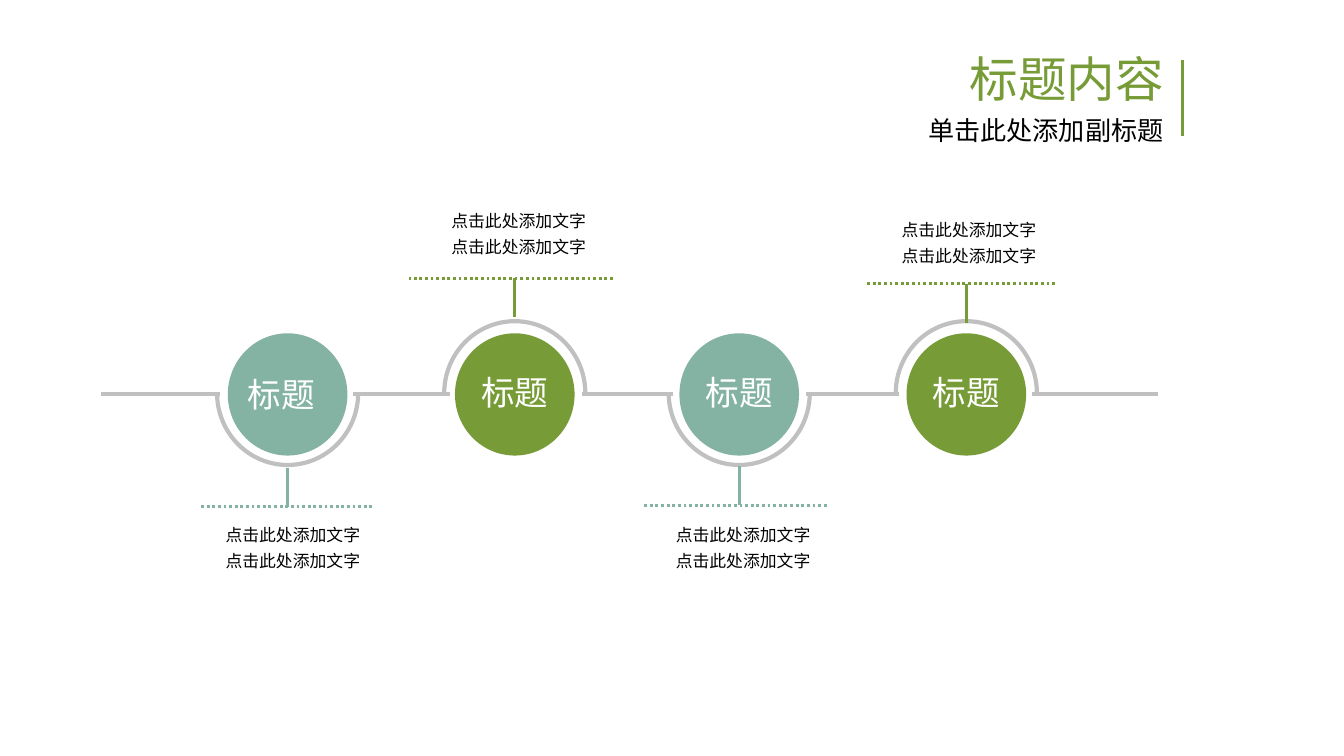
"""Build a four-step timeline slide with alternating captions."""
from dataclasses import dataclass

from lxml import etree
from pptx import Presentation
from pptx.dml.color import RGBColor
from pptx.enum.dml import MSO_LINE
from pptx.enum.shapes import MSO_CONNECTOR, MSO_SHAPE
from pptx.enum.text import MSO_ANCHOR, MSO_AUTO_SIZE, PP_ALIGN
from pptx.oxml.ns import qn
from pptx.util import Inches, Pt

STRAIGHT = MSO_CONNECTOR.STRAIGHT
DOTTED = MSO_LINE.ROUND_DOT
ARC, OVAL = MSO_SHAPE.ARC, MSO_SHAPE.OVAL
TOP, MIDDLE = MSO_ANCHOR.TOP, MSO_ANCHOR.MIDDLE
LEFT, CENTER, RIGHT = PP_ALIGN.LEFT, PP_ALIGN.CENTER, PP_ALIGN.RIGHT
NO_AUTOFIT = MSO_AUTO_SIZE.NONE


@dataclass(frozen=True)
class Theme:
    """Colours, font, type sizes and line widths of the slide."""
    green: str = "779B37"
    teal: str = "84B3A3"
    rail: str = "C0C0C0"
    black: str = "000000"
    white: str = "FFFFFF"
    font: str = "Noto Sans CJK SC"
    title: float = 26
    subtitle: float = 14
    label: float = 18
    caption: float = 9
    thin: float = 1.5
    thick: float = 2.25


@dataclass(frozen=True)
class Step:
    """One stop of the timeline with its caption above or below."""
    center: float
    above: bool
    rule: tuple
    rule_y: float
    caption: tuple
    label: tuple


THEME = Theme()
AXIS_Y = 2.93
STEM = 0.29
CIRCLE_TOP = 2.48
CIRCLE = (0.89, 0.91)
RING_TOP = 2.39
RING = (1.05, 1.07)
CAPTION_SIZE = (1.78, 0.48)
CAPTION = "点击此处添加文字\n点击此处添加文字"
STEPS = (
    Step(2.14, False, (1.49, 2.77), 3.77, (1.58, 3.81), (1.71, 2.74, 0.77, 0.38)),
    Step(3.83, True, (3.04, 4.56), 2.07, (3.26, 1.47), (3.38, 2.73, 0.9, 0.38)),
    Step(5.5, False, (4.78, 6.15), 3.76, (4.93, 3.81), (5.05, 2.73, 0.9, 0.38)),
    Step(7.19, True, (6.45, 7.85), 2.11, (6.61, 1.54), (6.74, 2.73, 0.9, 0.38)),
)
RAIL = ((0.75, 1.64), (2.63, 3.35), (4.33, 5.01), (6, 6.69), (7.68, 8.62))


def place(shape, box):
    """Move and size a shape to a box in inches."""
    shape.left, shape.top, shape.width, shape.height = map(Inches, box)


def write(shape, text, *, size, color, align=LEFT, anchor=TOP,
          spacing=1.0, inset=(0.1, 0.05)):
    """Fill a shape with formatted text, one paragraph per line."""
    frame = shape.text_frame
    frame.text = text
    frame.word_wrap = True
    frame.auto_size = NO_AUTOFIT
    frame.vertical_anchor = anchor
    frame.margin_left = frame.margin_right = Inches(inset[0])
    frame.margin_top = frame.margin_bottom = Inches(inset[1])
    for paragraph in frame.paragraphs:
        paragraph.alignment = align
        paragraph.line_spacing = spacing
        paragraph.space_before = Pt(0)
        for run in paragraph.runs:
            run.font.size = Pt(size)
            run.font.name = THEME.font
            run.font.color.rgb = RGBColor.from_string(color)
            east_asian = etree.SubElement(run.font._element, qn("a:ea"))
            east_asian.set("typeface", THEME.font)


def add_text(slide, box, text, **style):
    """Add a text box with formatted text."""
    write(slide.shapes.add_textbox(*map(Inches, box)), text, **style)


def add_line(slide, start, end, color, width=THEME.thin, dash=None):
    """Add a straight line without a shadow."""
    line = slide.shapes.add_connector(STRAIGHT, *map(Inches, (*start, *end)))
    line.line.color.rgb = RGBColor.from_string(color)
    line.line.width = Pt(width)
    if dash is not None:
        line.line.dash_style = dash
    etree.SubElement(line._element.spPr, qn("a:effectLst"))


def add_round(slide, kind, center, top, size):
    """Add a round shape centred horizontally on a step."""
    width, height = size
    box = (center - width / 2, top, width, height)
    shape = slide.shapes.add_shape(kind, *map(Inches, box))
    shape.shadow.inherit = False
    return shape


def add_circle(slide, center, color):
    """Add the filled circle of a step."""
    circle = add_round(slide, OVAL, center, CIRCLE_TOP, CIRCLE)
    circle.fill.solid()
    circle.fill.fore_color.rgb = RGBColor.from_string(color)
    circle.line.fill.background()


def add_half_ring(slide, center, above):
    """Add the grey half ring on the caption side of a step."""
    ring = add_round(slide, ARC, center, RING_TOP, RING)
    half_turn = 180 * 60000 / 100000
    ring.adjustments[0] = half_turn if above else 0
    ring.adjustments[1] = 0 if above else half_turn
    ring.fill.background()
    ring.line.color.rgb = RGBColor.from_string(THEME.rail)
    ring.line.width = Pt(THEME.thick)


def add_step(slide, step):
    """Add a step with its ring, circle, stem, rule and texts."""
    color = THEME.green if step.above else THEME.teal
    stem_end = step.rule_y + (STEM if step.above else -STEM)
    add_half_ring(slide, step.center, step.above)
    add_circle(slide, step.center, color)
    add_text(slide, step.label, "标题", size=THEME.label, color=THEME.white,
             align=CENTER, anchor=MIDDLE, inset=(0, 0))
    add_line(slide, (step.center, step.rule_y), (step.center, stem_end), color)
    rule_left, rule_right = step.rule
    add_line(slide, (rule_right, step.rule_y), (rule_left, step.rule_y),
             color, dash=DOTTED)
    add_text(slide, (*step.caption, *CAPTION_SIZE), CAPTION,
             size=THEME.caption, color=THEME.black, spacing=1.3)


def add_heading(slide):
    """Fill the title and subtitle and add the bar beside them."""
    title, subtitle = slide.placeholders
    place(title, (4.94, 0.36, 3.82, 0.5))
    write(title, "标题内容", size=THEME.title, color=THEME.green,
          align=RIGHT, anchor=MIDDLE, spacing=0.9)
    place(subtitle, (4.94, 0.83, 3.82, 0.4))
    write(subtitle, "单击此处添加副标题", size=THEME.subtitle,
          color=THEME.black, align=RIGHT, spacing=0.9)
    add_line(slide, (8.8, 0.45), (8.8, 1.01), THEME.green)


def main():
    """Build and save the slide."""
    deck = Presentation()
    deck.slide_width = Inches(10)
    deck.slide_height = deck.slide_width * 9 // 16
    slide = deck.slides.add_slide(deck.slide_layouts[0])
    for start, end in RAIL:
        add_line(slide, (end, AXIS_Y), (start, AXIS_Y), THEME.rail, THEME.thick)
    for step in STEPS:
        add_step(slide, step)
    add_heading(slide)
    deck.save("out.pptx")


if __name__ == "__main__":
    main()
